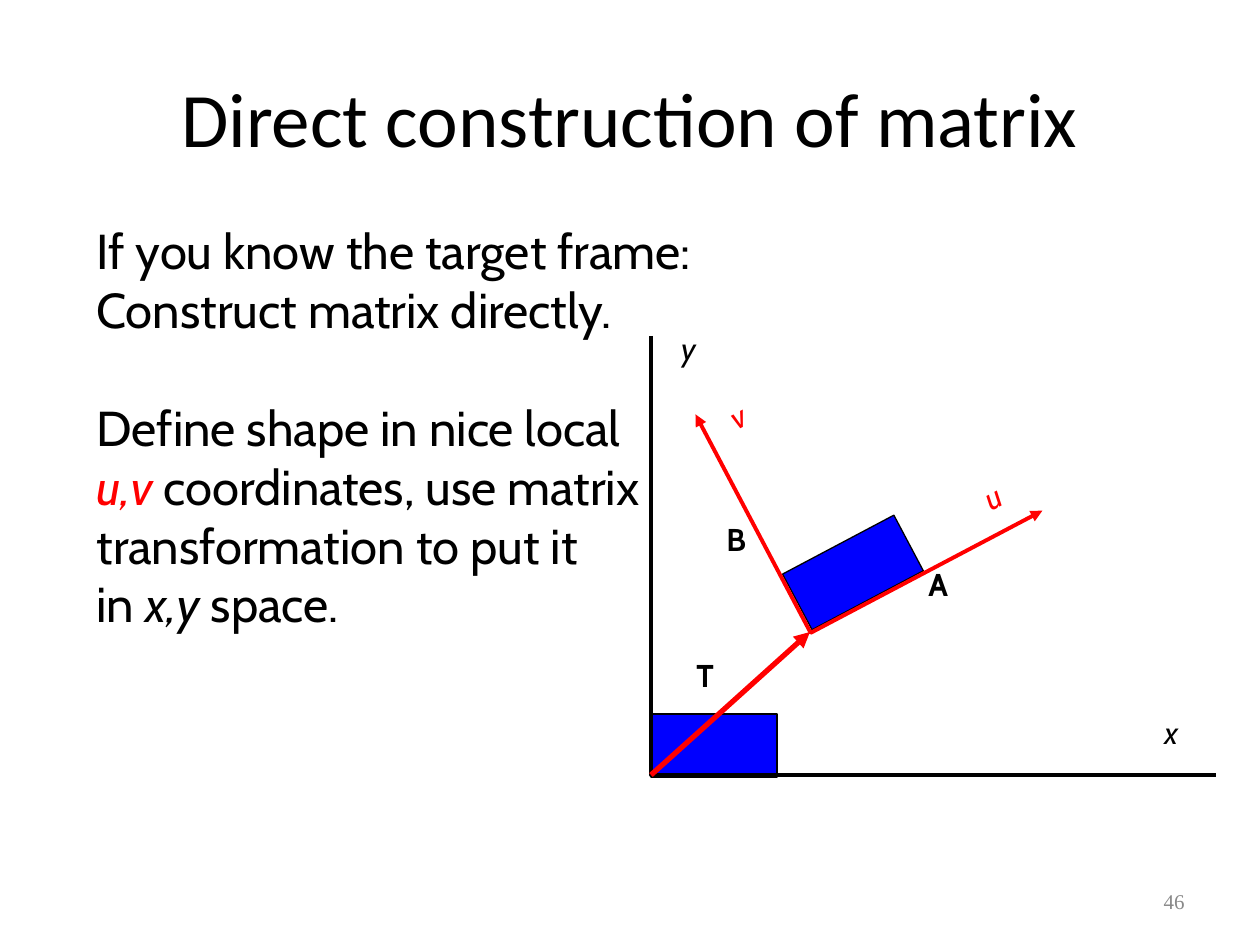
from pptx import Presentation
from pptx.dml.color import RGBColor
from pptx.enum.shapes import MSO_CONNECTOR as CONN, MSO_SHAPE as SHAPE
from pptx.enum.text import MSO_ANCHOR as ANCHOR, MSO_AUTO_SIZE as AUTO, PP_ALIGN as ALIGN
from pptx.oxml.ns import qn
from pptx.util import Emu, Pt
from lxml.etree import SubElement

EMU_PER_PX = 914400 / 126
BLACK, RED, BLUE, GREY = "000000", "FF0000", "0000FF", "898989"
FONT = "Cabin"

BODY = [
    [("If you know the target frame:", BLACK, False)],
    [("Construct matrix directly.", BLACK, False)],
    [("Define shape in nice local", BLACK, False)],
    [("u,v ", RED, True), ("coordinates, use matrix", BLACK, False)],
    [("transformation to put it", BLACK, False)],
    [("in ", BLACK, False), ("x,y", BLACK, True), (" space.", BLACK, False)],
]
SECOND_BLOCK = 2

LABELS = [
    ("x", 1152, 707, 44, BLACK, False, 0),
    ("y", 669, 323, 44, BLACK, False, 0),
    ("v", 721, 389, 44, RED, False, 332.2),
    ("u", 975, 469, 47, RED, False, 332.2),
    ("A", 916, 559, 55, BLACK, True, 0),
    ("B", 714, 514, 53, BLACK, True, 0),
    ("T", 684, 650, 53, BLACK, True, 0),
]


def px(n):
    return Emu(round(n * EMU_PER_PX))


def rgb(color):
    return RGBColor.from_string(color)


def style_font(font, size, color, name=FONT, bold=False, italic=False):
    font.size = Pt(size)
    font.name = name
    font.bold = bold
    font.italic = italic
    font.color.rgb = rgb(color)


def style_line(sp, color, width, head=False, tail=False):
    sp.line.color.rgb = rgb(color)
    sp.line.width = Pt(width)
    ln = sp._element.spPr.find(qn("a:ln"))
    for tag, wanted in (("a:headEnd", head), ("a:tailEnd", tail)):
        if wanted:
            SubElement(ln, qn(tag), type="triangle")


def place(sp, x, y, w, h):
    sp.left, sp.top, sp.width, sp.height = px(x), px(y), px(w), px(h)


def add_title(slide, text):
    sp = slide.shapes.title
    place(sp, 63, 38, 1134, 157)
    tf = sp.text_frame
    tf.text = text
    tf.vertical_anchor = ANCHOR.MIDDLE
    p = tf.paragraphs[0]
    p.alignment = ALIGN.CENTER
    style_font(p.runs[0].font, 44, BLACK, "Calibri")


def add_body(slide, lines):
    sp = slide.placeholders[1]
    place(sp, 84, 214, 640, 428)
    tf = sp.text_frame
    tf.auto_size = AUTO.NONE
    tf.word_wrap = True
    tf.vertical_anchor = ANCHOR.TOP
    for i, line in enumerate(lines):
        p = tf.add_paragraph() if i else tf.paragraphs[0]
        pPr = p._p.get_or_add_pPr()
        pPr.set("marL", "0")
        pPr.set("indent", "0")
        SubElement(pPr, qn("a:buNone"))
        p.space_before = Pt(34 if i == SECOND_BLOCK else 0)
        for text, color, italic in line:
            r = p.add_run()
            r.text = text
            style_font(r.font, 28, color, italic=italic)


def add_box(slide, x, y, rotation=0):
    sp = slide.shapes.add_shape(SHAPE.RECTANGLE, px(x), px(y), px(126), px(63))
    sp.rotation = rotation
    sp.shadow.inherit = False
    sp.fill.solid()
    sp.fill.fore_color.rgb = rgb(BLUE)
    style_line(sp, BLACK, 0.75)


def add_axes(slide, x, y, w, h, color, arrows=False, rotation=0):
    fb = slide.shapes.build_freeform(x, y, scale=EMU_PER_PX)
    fb.add_line_segments([(x, y + h), (x + w, y + h)], close=False)
    sp = fb.convert_to_shape()
    sp.rotation = rotation
    sp.shadow.inherit = False
    sp.fill.background()
    style_line(sp, color, 2.25, head=arrows, tail=arrows)


def add_arrow(slide, x1, y1, x2, y2):
    sp = slide.shapes.add_connector(CONN.STRAIGHT, px(x1), px(y1), px(x2), px(y2))
    style_line(sp, RED, 3, tail=True)
    SubElement(sp._element.spPr, qn("a:effectLst"))


def add_label(slide, text, x, y, w, color, bold, rotation):
    sp = slide.shapes.add_textbox(px(x), px(y), px(w), px(63))
    sp.rotation = rotation
    tf = sp.text_frame
    tf.word_wrap = False
    tf.text = text
    style_font(tf.paragraphs[0].runs[0].font, 18, color, bold=bold, italic=not bold)


def add_slide_number(slide, text):
    sp = slide.shapes.add_textbox(px(903), px(876), px(294), px(50))
    tf = sp.text_frame
    tf.word_wrap = True
    tf.vertical_anchor = ANCHOR.MIDDLE
    tf.text = text
    p = tf.paragraphs[0]
    p.alignment = ALIGN.RIGHT
    style_font(p.runs[0].font, 12, GREY, "Times New Roman")


def main():
    prs = Presentation()
    prs.slide_width, prs.slide_height = px(1260), px(945)
    slide = prs.slides.add_slide(prs.slide_layouts[1])
    add_title(slide, "Direct construction of matrix")
    add_body(slide, BODY)
    add_box(slide, 790, 541, 332.1)
    add_box(slide, 651, 714)
    add_axes(slide, 651, 336, 565, 439, BLACK)
    add_axes(slide, 738, 339, 262, 247, RED, arrows=True, rotation=332.2)
    add_arrow(slide, 651, 775, 810, 632)
    for label in LABELS:
        add_label(slide, *label)
    add_slide_number(slide, "46")
    prs.save("out.pptx")


if __name__ == "__main__":
    main()
